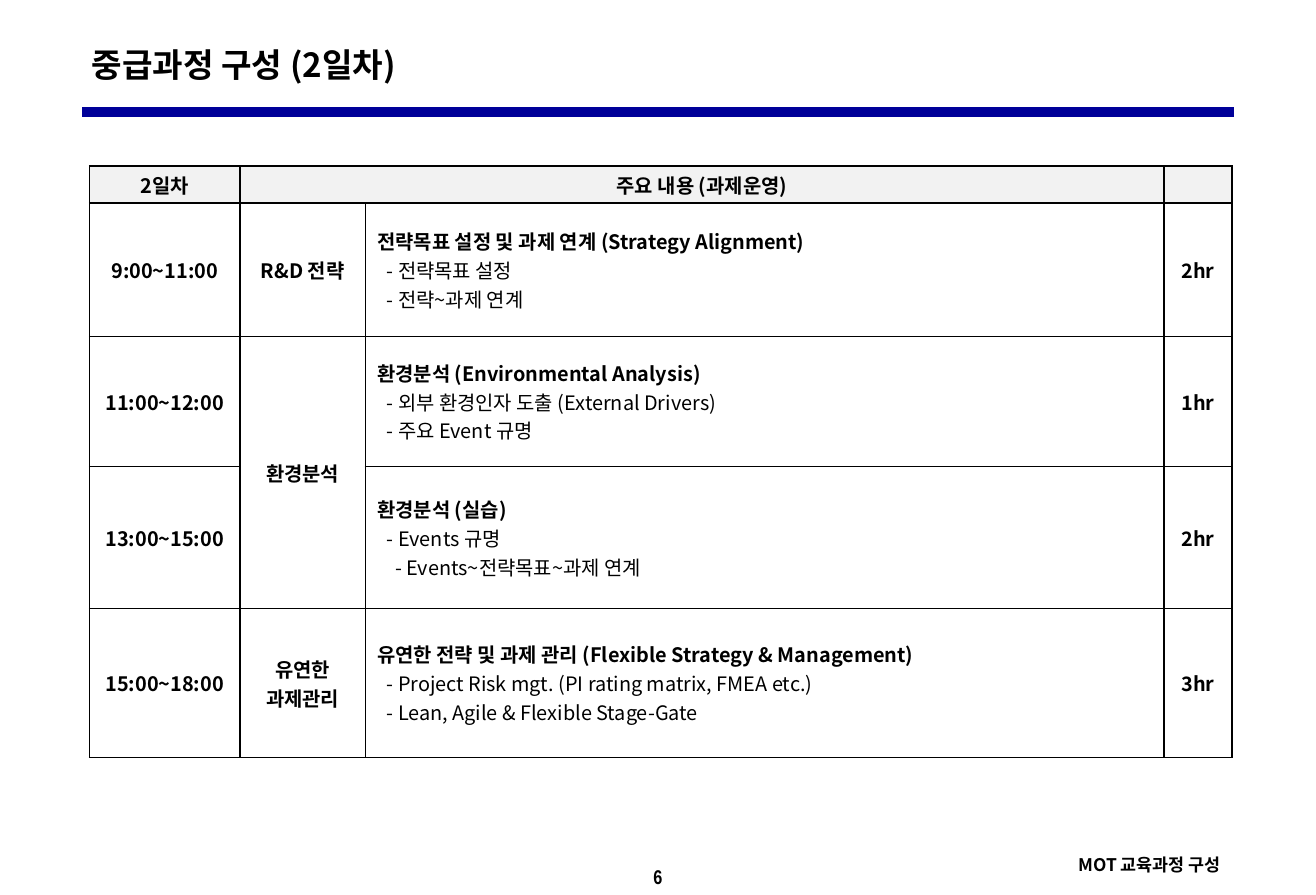
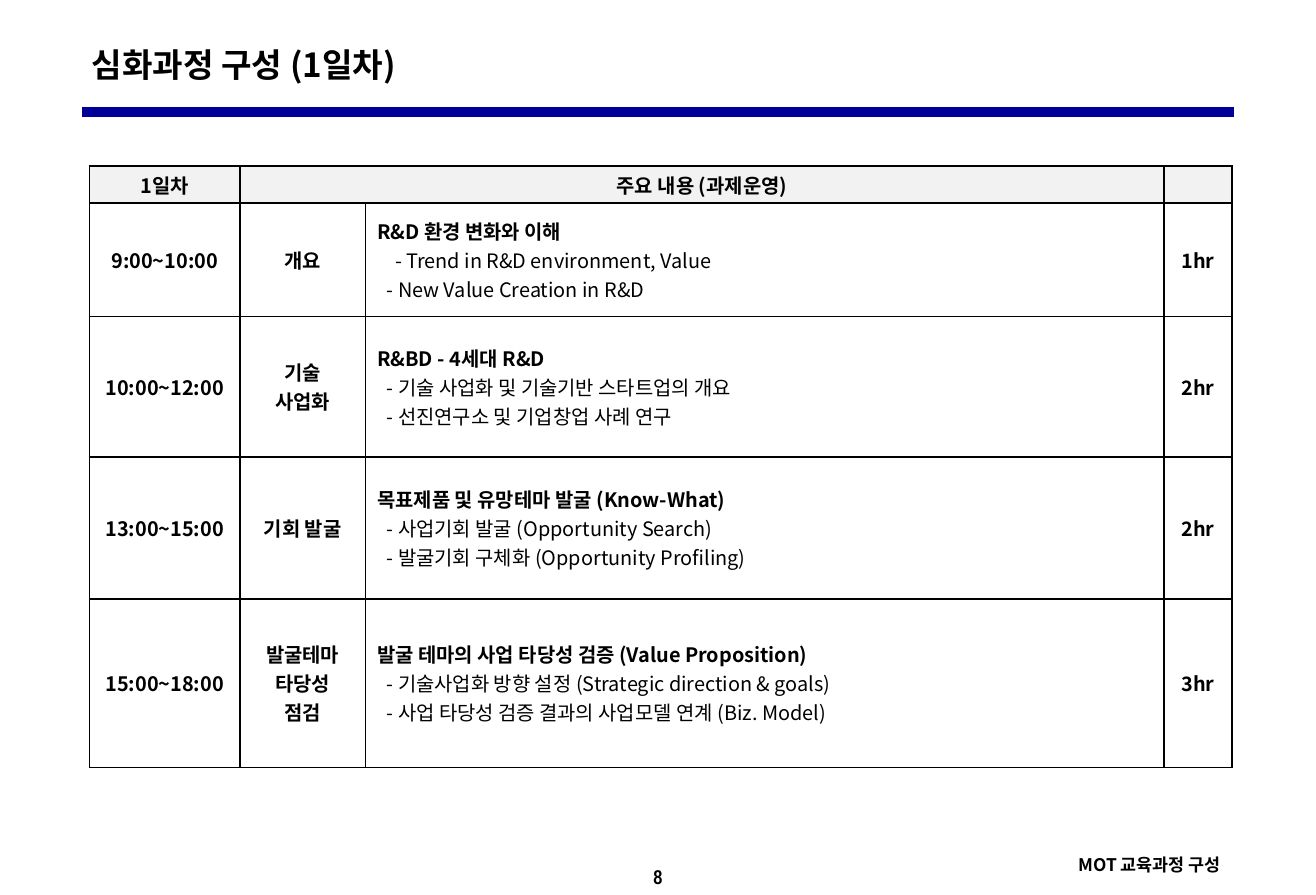
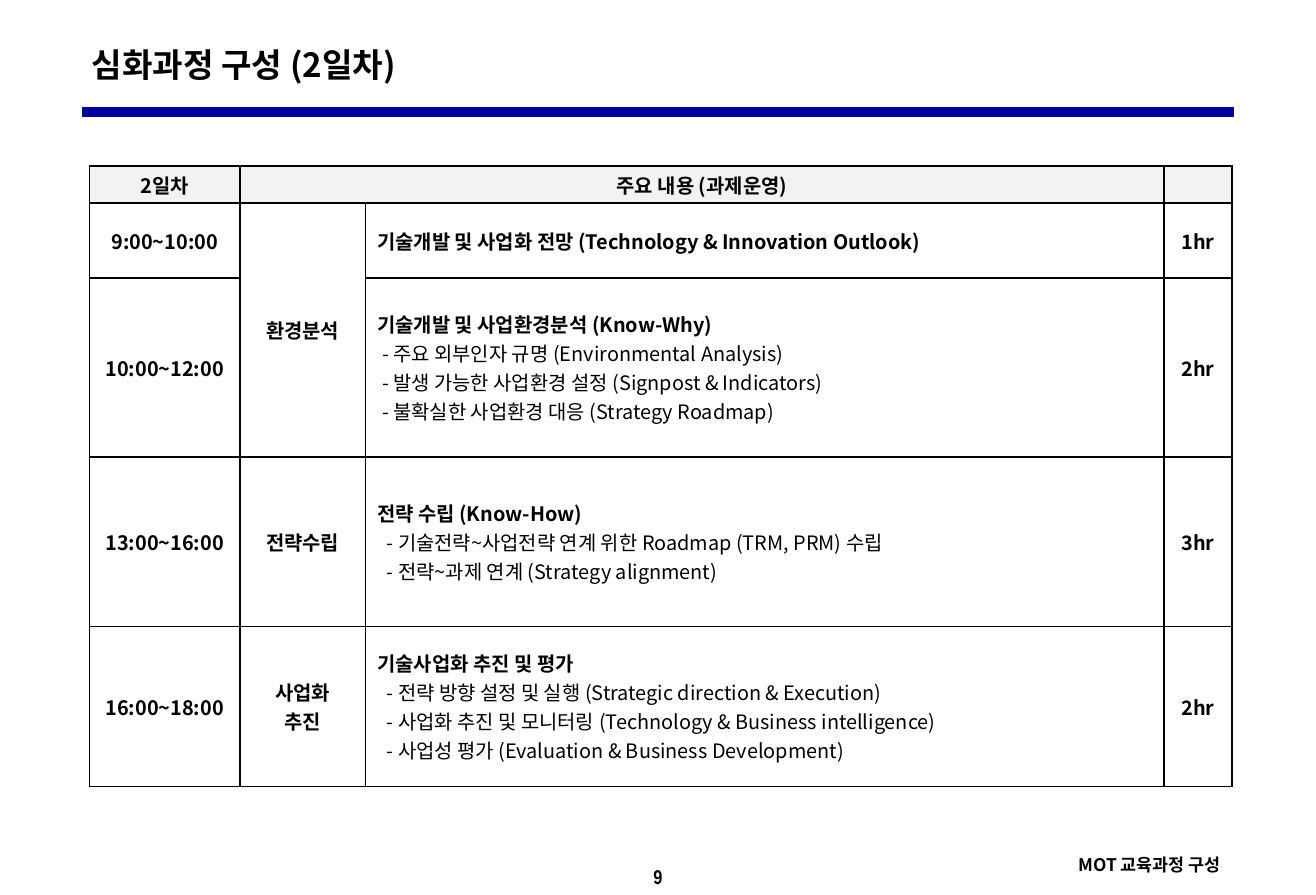
from lxml import etree
from pptx import Presentation
from pptx import util as u
from pptx.dml.color import RGBColor
from pptx.enum import shapes, text
from pptx.oxml.ns import qn

Inches, Pt = u.Inches, u.Pt
LEFT, CENTER, RIGHT = text.PP_ALIGN.LEFT, text.PP_ALIGN.CENTER, text.PP_ALIGN.RIGHT

# Shared style
BLACK = RGBColor(0x00, 0x00, 0x00)
NAVY = RGBColor(0x00, 0x00, 0x99)
GREY = RGBColor(0xF2, 0xF2, 0xF2)
KOREAN, NARROW = "Noto Sans CJK KR", "Arial Narrow"
SLIDE_WIDTH, SLIDE_HEIGHT = u.Cm(28), Inches(7.5)
FOOTER = "MOT 교육과정 구성"
HEADING = "주요 내용 (과제운영)"
COLUMNS = [1.26, 1.05, 6.69, 0.57]
HEADER_ROW = 0.31
NEAR, STEP, FAR = 0.04, 0.08, 0.15  # indents of detail lines

# Each session: row height, time, topic lines (None joins the topic above),
# content title, indent, details, hours. A detail may carry its own indent.
SLIDES = [
    ("중급과정 구성 (2일차)", "2일차", 6, [
        (1.12, "9:00~11:00", ["R&D 전략"],
         "전략목표 설정 및 과제 연계 (Strategy Alignment)", STEP,
         ["- 전략목표 설정", "- 전략~과제 연계"], "2hr"),
        (1.09, "11:00~12:00", ["환경분석"],
         "환경분석 (Environmental Analysis)", STEP,
         ["- 외부 환경인자 도출 (External Drivers)", "- 주요 Event 규명"], "1hr"),
        (1.19, "13:00~15:00", None,
         "환경분석 (실습)", STEP,
         ["- Events 규명", ("- Events~전략목표~과제 연계", FAR)], "2hr"),
        (1.25, "15:00~18:00", ["유연한", "과제관리"],
         "유연한 전략 및 과제 관리 (Flexible Strategy & Management)", STEP,
         ["- Project Risk mgt. (PI rating matrix, FMEA etc.)",
          "- Lean, Agile & Flexible Stage-Gate"], "3hr"),
    ]),
    ("심화과정 구성 (1일차)", "1일차", 8, [
        (0.95, "9:00~10:00", ["개요"],
         "R&D 환경 변화와 이해", STEP,
         [("- Trend in R&D environment, Value", FAR),
          "- New Value Creation in R&D"], "1hr"),
        (1.18, "10:00~12:00", ["기술", "사업화"],
         "R&BD - 4세대 R&D", STEP,
         ["- 기술 사업화 및 기술기반 스타트업의 개요",
          "- 선진연구소 및 기업창업 사례 연구"], "2hr"),
        (1.19, "13:00~15:00", ["기회 발굴"],
         "목표제품 및 유망테마 발굴 (Know-What)", STEP,
         ["- 사업기회 발굴 (Opportunity Search)",
          "- 발굴기회 구체화 (Opportunity Profiling)"], "2hr"),
        (1.41, "15:00~18:00", ["발굴테마 타당성", "점검"],
         "발굴 테마의 사업 타당성 검증 (Value Proposition)", STEP,
         ["- 기술사업화 방향 설정 (Strategic direction & goals)",
          "- 사업 타당성 검증 결과의 사업모델 연계 (Biz. Model)"], "3hr"),
    ]),
    ("심화과정 구성 (2일차)", "2일차", 9, [
        (0.63, "9:00~10:00", ["환경분석"],
         "기술개발 및 사업화 전망 (Technology & Innovation Outlook)", STEP,
         [], "1hr"),
        (1.5, "10:00~12:00", None,
         "기술개발 및 사업환경분석 (Know-Why)", NEAR,
         ["- 주요 외부인자 규명 (Environmental Analysis)",
          "- 발생 가능한 사업환경 설정 (Signpost & Indicators)",
          "- 불확실한 사업환경 대응 (Strategy Roadmap)"], "2hr"),
        (1.42, "13:00~16:00", ["전략수립"],
         "전략 수립 (Know-How)", STEP,
         ["- 기술전략~사업전략 연계 위한 Roadmap (TRM, PRM) 수립",
          "- 전략~과제 연계 (Strategy alignment)"], "3hr"),
        (1.34, "16:00~18:00", ["사업화", "추진"],
         "기술사업화 추진 및 평가", STEP,
         ["- 전략 방향 설정 및 실행 (Strategic direction & Execution)",
          "- 사업화 추진 및 모니터링 (Technology & Business intelligence)",
          "- 사업성 평가 (Evaluation & Business Development)"], "2hr"),
    ]),
]


def write(p, words, size=12, bold=True, align=LEFT, font=KOREAN, indent=0):
    p.alignment = align
    if indent:
        p._p.get_or_add_pPr().set("marL", str(Inches(indent)))
    r = p.add_run()
    r.text = words
    r.font.size, r.font.bold, r.font.name = Pt(size), bold, font
    r.font.color.rgb = BLACK
    rPr = r._r.get_or_add_rPr()
    rPr.set("kern", "0")  # no pair kerning
    etree.SubElement(rPr, qn("a:ea"), typeface=font)


def add_text(s, box, words, **style):
    tf = s.shapes.add_textbox(*map(Inches, box)).text_frame
    tf.word_wrap = True
    write(tf.paragraphs[0], words, **style)
    return tf.paragraphs[0]


def add_frame(s, title, number):
    """Title, rule, page number and footer."""
    rule = s.shapes.add_connector(shapes.MSO_CONNECTOR.STRAIGHT, Inches(0.69),
                                  Inches(0.94), Inches(10.34), Inches(0.94))
    rule.line.color.rgb, rule.line.width = NAVY, Pt(6)
    etree.SubElement(rule._element.spPr, qn("a:effectLst"))
    p = add_text(s, (0, 7.12, 11.02, 0.38), str(number), align=CENTER, font=NARROW)
    p.line_spacing = 1.4
    add_text(s, (7, 7.11, 3.32, 0.28), FOOTER, size=10.5, align=RIGHT)
    add_text(s, (0.67, 0.32, 10.08, 0.44), title, size=20)


def style_cell(cell, fill):
    cell.vertical_anchor = text.MSO_ANCHOR.MIDDLE
    cell.margin_top = cell.margin_bottom = Inches(0.03)
    # Borders come before the fill in the cell properties
    tcPr = cell._tc.get_or_add_tcPr()
    for side in ("lnL", "lnR", "lnT", "lnB"):
        ln = etree.SubElement(tcPr, qn("a:" + side), w=str(Pt(1)))
        solid = etree.SubElement(ln, qn("a:solidFill"))
        etree.SubElement(solid, qn("a:srgbClr"), val=str(BLACK))
    if fill is None:
        cell.fill.background()
    else:
        cell.fill.solid()
        cell.fill.fore_color.rgb = fill
    # Keeps empty cells from stretching their row
    etree.SubElement(cell.text_frame.paragraphs[0]._p, qn("a:endParaRPr"), sz="1200")


def fill_cell(cell, lines, **style):
    """Lines are (words, bold, indent)."""
    tf = cell.text_frame
    for i, (words, bold, indent) in enumerate(lines):
        p = tf.add_paragraph() if i else tf.paragraphs[0]
        write(p, words, bold=bold, indent=indent, **style)


def add_schedule(s, day, sessions):
    heights = [HEADER_ROW] + [session[0] for session in sessions]
    table = s.shapes.add_table(len(heights), len(COLUMNS), Inches(0.75), Inches(1.39),
                               Inches(sum(COLUMNS)), Inches(sum(heights))).table
    table.first_row = table.horz_banding = False
    for column, width in zip(table.columns, COLUMNS):
        column.width = Inches(width)
    for i, (row, height) in enumerate(zip(table.rows, heights)):
        row.height = Inches(height)
        for cell in row.cells:
            style_cell(cell, None if i else GREY)

    # Header row
    table.cell(0, 1).merge(table.cell(0, 2))
    for col, words in enumerate((day, HEADING)):
        fill_cell(table.cell(0, col), [(words, True, 0)], align=CENTER)

    # Sessions
    for i, (_, time, topic, title, indent, details, hours) in enumerate(sessions, 1):
        if topic is None:
            table.cell(i - 1, 1).merge(table.cell(i, 1))
        for col, lines in ((0, [time]), (1, topic or []), (3, [hours])):
            fill_cell(table.cell(i, col), [(words, True, 0) for words in lines],
                      align=CENTER)
        content = [(title, True, 0)]
        for detail in details:
            words, own = detail if isinstance(detail, tuple) else (detail, indent)
            content.append((words, False, own))
        fill_cell(table.cell(i, 2), content)


def main():
    prs = Presentation()
    prs.slide_width, prs.slide_height = SLIDE_WIDTH, SLIDE_HEIGHT
    for title, day, number, sessions in SLIDES:
        s = prs.slides.add_slide(prs.slide_layouts[6])
        add_frame(s, title, number)
        add_schedule(s, day, sessions)
    prs.save("out.pptx")


if __name__ == "__main__":
    main()
